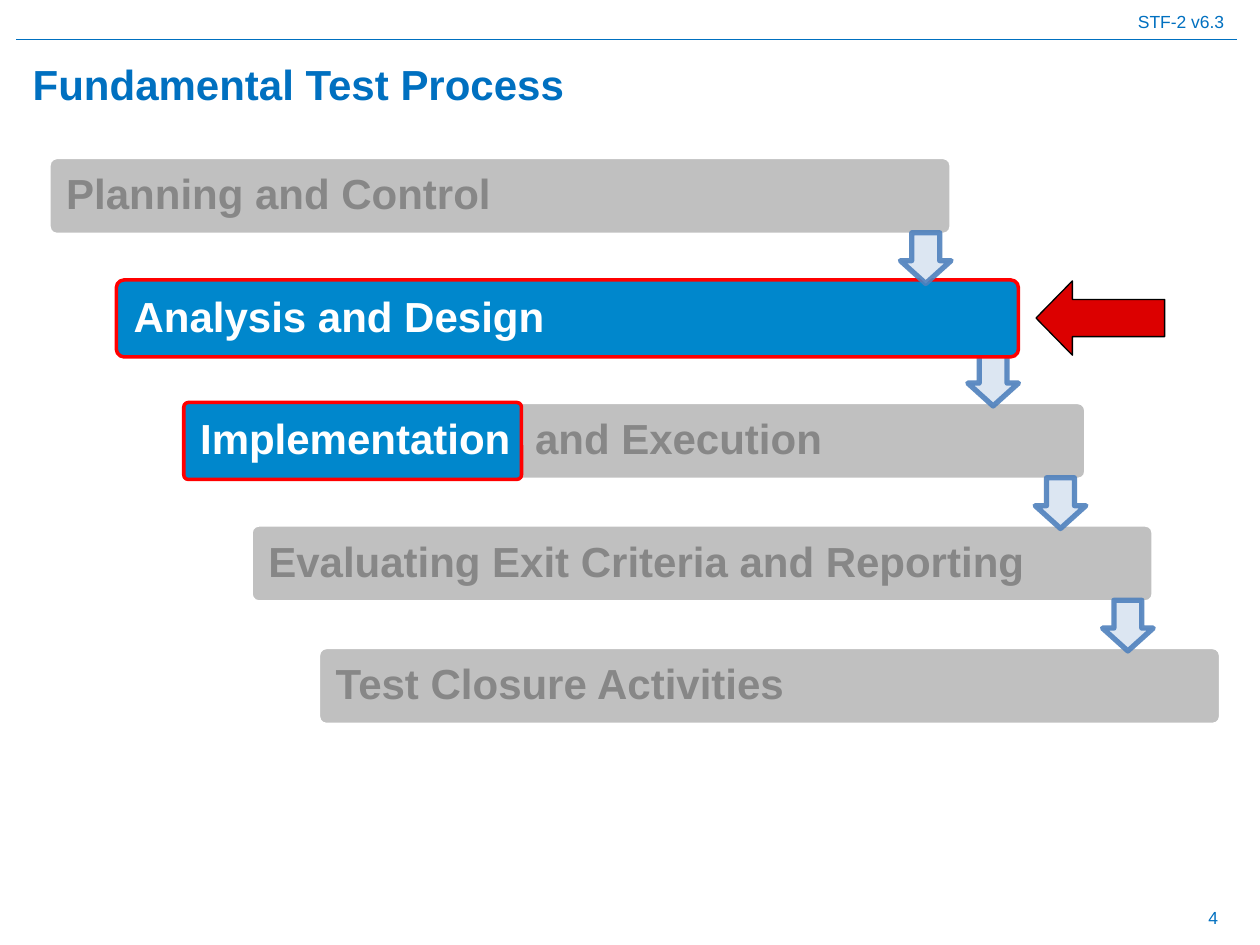
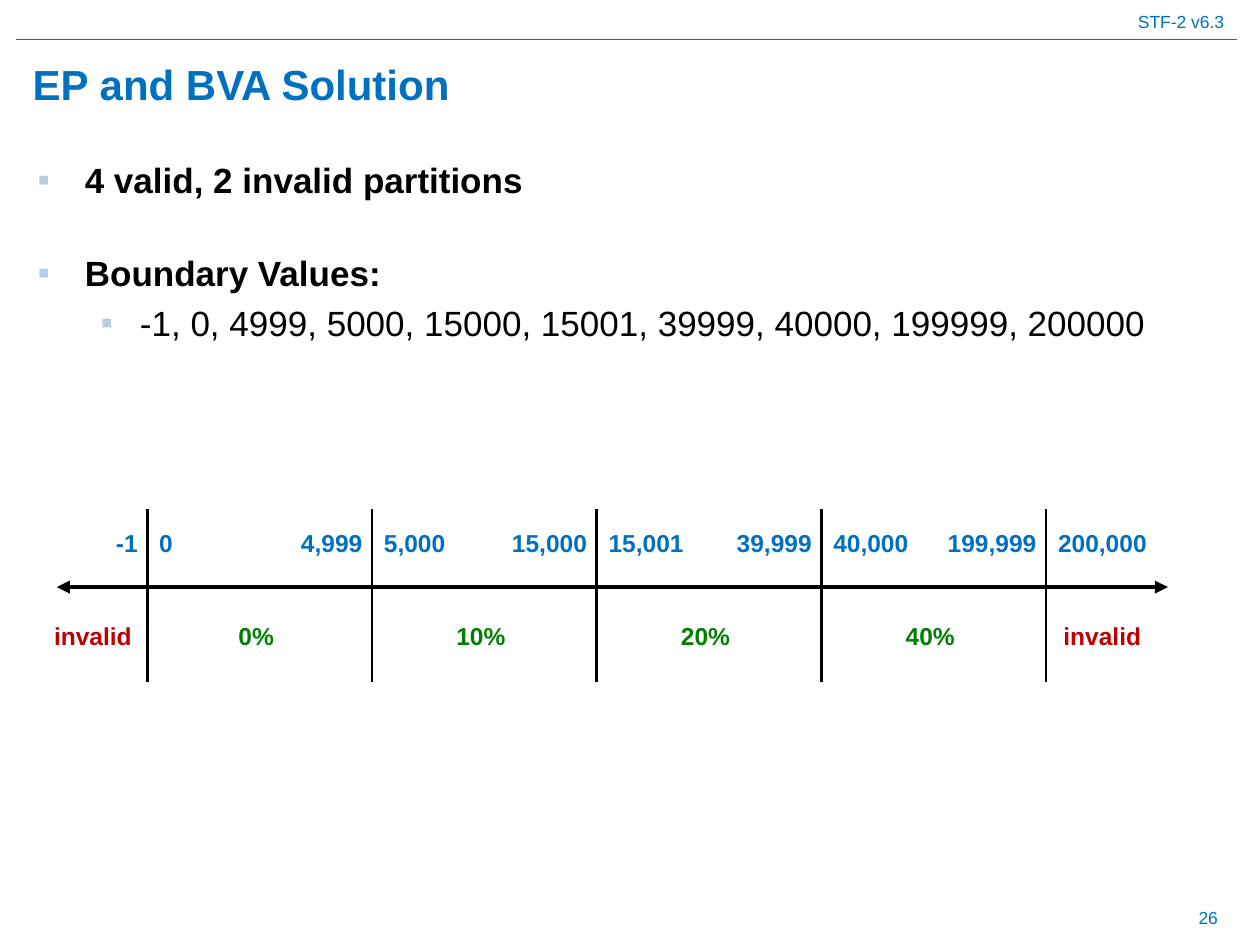
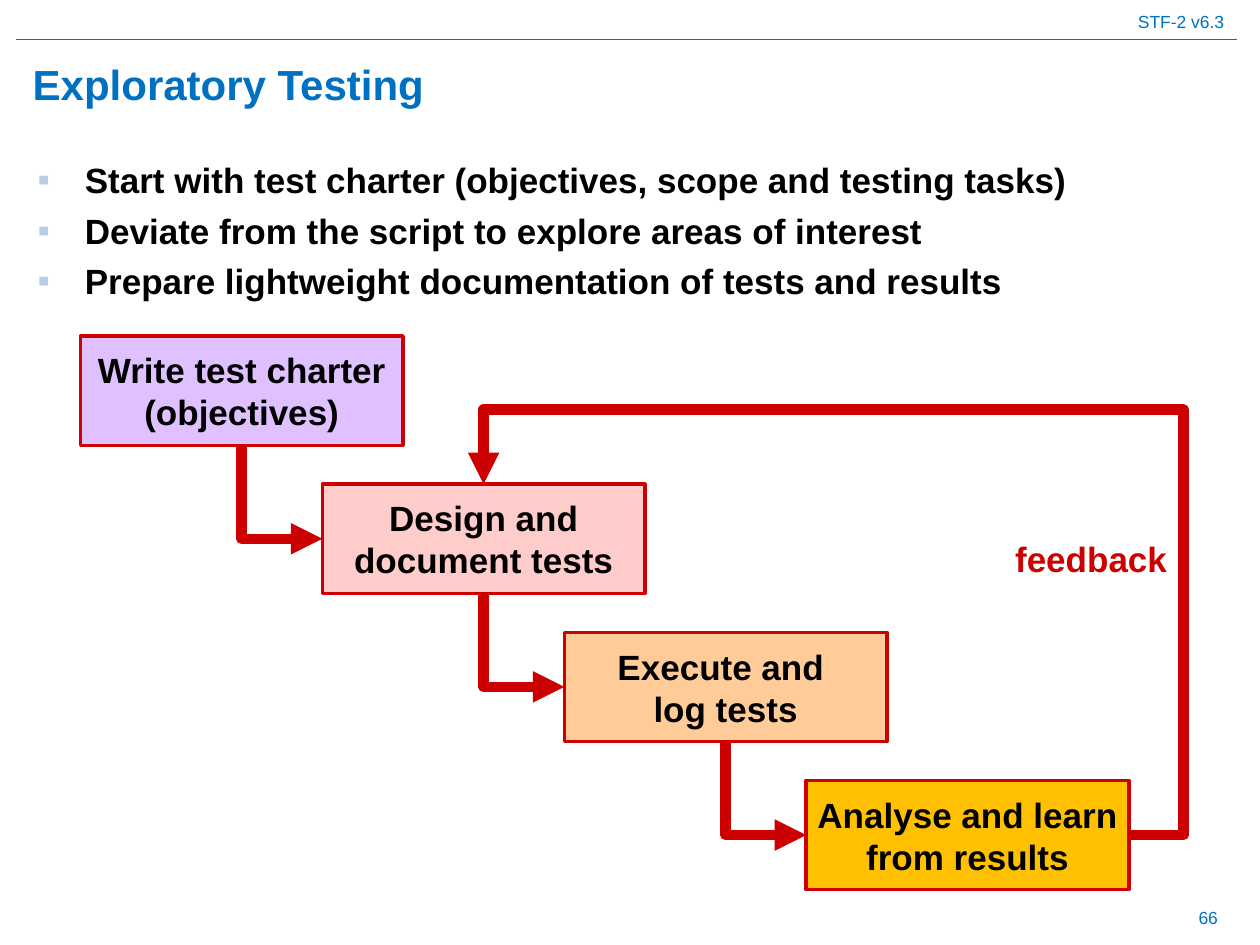
from lxml import etree
from pptx import Presentation
from pptx.dml.color import RGBColor
from pptx.enum.shapes import MSO_CONNECTOR, MSO_SHAPE
from pptx.enum.text import MSO_ANCHOR, PP_ALIGN
from pptx.oxml.ns import qn
from pptx.util import Pt

LEFT, CENTER, RIGHT = PP_ALIGN.LEFT, PP_ALIGN.CENTER, PP_ALIGN.RIGHT
TOP, MIDDLE = MSO_ANCHOR.TOP, MSO_ANCHOR.MIDDLE
STRAIGHT, ELBOW = MSO_CONNECTOR.STRAIGHT, MSO_CONNECTOR.ELBOW
SITE_TOP, SITE_LEFT, SITE_BOTTOM, SITE_RIGHT = range(4)

FONT = "Arial"
COLORS = {
    "brand": "0070C0", "text": "000000", "white": "FFFFFF", "bullet": "B8CCE4",
    "step": "C0C0C0", "step_text": "878787", "current": "0087CC", "current_line": "FF0000",
    "arrow": "DCE6F2", "arrow_line": "4F81BD", "pointer": "DC0000",
    "invalid": "C00000", "valid": "008000", "flow": "CC0000",
    "charter": "E0C1FF", "design": "FFCCCC", "execute": "FFCC99", "analyse": "FFC000",
}
HEADER = "STF-2 v6.3"

STEPS = ["Planning and Control", "Analysis and Design", "and Execution",
         "Evaluating Exit Criteria and Reporting", "Test Closure Activities"]
CURRENT_STEP = 1
PART_STEP, PART_TEXT, PART_WIDTH = 2, "Implementation", 193

# Bullets: level, text, space before
SOLUTION_BULLETS = [
    (0, "4 valid, 2 invalid partitions", 0),
    (0, "Boundary Values:", 29),
    (1, "-1, 0, 4999, 5000, 15000, 15001, 39999, 40000, 199999, 200000", 5),
]
BOUNDARIES = [("-1", "0"), ("4,999", "5,000"), ("15,000", "15,001"),
              ("39,999", "40,000"), ("199,999", "200,000")]
PARTITIONS = ["invalid", "0%", "10%", "20%", "40%", "invalid"]

EXPLORATORY_BULLETS = [
    (0, "Start with test charter (objectives, scope and testing tasks)", 0),
    (0, "Deviate from the script to explore areas of interest", 5),
    (0, "Prepare lightweight documentation of tests and results", 5),
]
ACTIVITIES = [("Write test charter (objectives)", "charter"),
              ("Design and document tests", "design"),
              ("Execute and \vlog tests", "execute"),
              ("Analyse and learn from results", "analyse")]


def rgb(name):
    return RGBColor.from_string(COLORS[name])


def format_text(shape, size, color, bold=False, align=LEFT, anchor=TOP,
                margins=(7.2, 3.6, 7.2, 3.6)):
    frame = shape.text_frame
    frame.word_wrap = True
    frame.vertical_anchor = anchor
    frame.margin_left, frame.margin_top, frame.margin_right, frame.margin_bottom = map(Pt, margins)
    for paragraph in frame.paragraphs:
        paragraph.alignment = align
        for run in paragraph.runs:
            run.font.name, run.font.size, run.font.bold = FONT, Pt(size), bold
            run.font.color.rgb = rgb(color)


def add_text(slide, box, text, size, color, **style):
    shape = slide.shapes.add_textbox(*map(Pt, box))
    shape.text_frame.text = text
    format_text(shape, size, color, **style)


def add_box(slide, preset, box, fill, line, line_width, adjustments=()):
    shape = slide.shapes.add_shape(preset, *map(Pt, box))
    shape.shadow.inherit = False
    shape.fill.solid()
    shape.fill.fore_color.rgb = rgb(fill)
    shape.line.color.rgb = rgb(line)
    shape.line.width = Pt(line_width)
    for index, value in enumerate(adjustments):
        shape.adjustments[index] = value
    return shape


def add_line(slide, start, end, color, width, kind=STRAIGHT, arrows=()):
    """arrows holds "headEnd" and "tailEnd", in that order, for the start and the end."""
    line = slide.shapes.add_connector(kind, *map(Pt, (*start, *end)))
    line.line.color.rgb = rgb(color)
    line.line.width = Pt(width)
    for arrow in arrows:
        etree.SubElement(line.line._get_or_add_ln(), qn("a:" + arrow), type="triangle")
    etree.SubElement(line._element.spPr, qn("a:effectLst"))
    return line


def add_bullets(slide, bullets):
    shape = slide.shapes.add_textbox(Pt(14.4), Pt(87), Pt(695), Pt(423))
    shape.text_frame.text = "\n".join(text for _, text, _ in bullets)
    format_text(shape, 20, "text", bold=True)
    for paragraph, (level, _, space) in zip(shape.text_frame.paragraphs, bullets):
        indent, hanging = [(27, 27), (58.5, 22.5)][level]
        properties = paragraph._p.get_or_add_pPr()
        properties.set("marL", str(Pt(indent)))
        properties.set("indent", str(-Pt(hanging)))
        bullet_color = etree.SubElement(properties, qn("a:buClr"))
        etree.SubElement(bullet_color, qn("a:srgbClr"), val=COLORS["bullet"])
        etree.SubElement(properties, qn("a:buFont"), typeface=FONT)
        etree.SubElement(properties, qn("a:buChar"), char="▪")
        paragraph.level = level
        paragraph.space_before = Pt(space)
        paragraph.runs[0].font.bold = level == 0


def add_slide(presentation, title, number):
    slide = presentation.slides.add_slide(presentation.slide_layouts[5])
    add_text(slide, (0, 3, 720, 19.5), HEADER, 10, "brand", align=RIGHT,
             margins=(7.2, 3.6, 20.5, 3.6))
    add_line(slide, (9.4, 22.5), (707, 22.5), "brand", 0.75)
    add_text(slide, (535, 510.5, 168, 28), str(number), 10, "brand", align=RIGHT, anchor=MIDDLE)
    heading = slide.shapes.title
    heading.left, heading.top, heading.width, heading.height = map(Pt, (11.5, 28, 692, 40))
    heading.text_frame.text = title
    format_text(heading, 24, "brand", bold=True, anchor=MIDDLE)
    return slide


def build_process(presentation):
    slide = add_slide(presentation, "Fundamental Test Process", 4)
    width, height, arrow_size = 515.5, 44, 29

    def place(index):
        return 28 + 38.5 * index, 90 + 70 * index

    def add_step(index, text, step_width, current, left_margin=8.6, right_margin=8.6, corner=0.1):
        fill, line, color = (("current", "current_line", "white") if current
                             else ("step", "white", "step_text"))
        shape = add_box(slide, MSO_SHAPE.ROUNDED_RECTANGLE, (*place(index), step_width, height),
                        fill, line, 2, [corner])
        shape.text_frame.text = text
        format_text(shape, 24, color, bold=True, anchor=MIDDLE,
                    margins=(left_margin, 8.6, right_margin, 8.6))
        shape.text_frame.paragraphs[0].line_spacing = 0.9

    def add_arrow(index):
        left, top = place(index)
        arrow = add_box(slide, MSO_SHAPE.DOWN_ARROW,
                        (left + width - arrow_size, top + height - 1, arrow_size, arrow_size),
                        "arrow", "arrow_line", 3, [0.55, 0.45])
        line_color = arrow.line._get_or_add_ln().find(".//" + qn("a:srgbClr"))
        etree.SubElement(line_color, qn("a:alpha"), val="90000")

    # The current step covers the arrow that leaves it; other arrows lie on top
    for index in reversed(range(len(STEPS))):
        current = index == CURRENT_STEP
        if current:
            add_arrow(index)
        add_step(index, STEPS[index], width, current,
                 left_margin=199.5 if index == PART_STEP else 8.6)
        if not current and index < len(STEPS) - 1:
            add_arrow(index)
    add_step(PART_STEP, PART_TEXT, PART_WIDTH, True, right_margin=0, corner=0.06)
    add_box(slide, MSO_SHAPE.LEFT_ARROW, (592, 160.5, 73.5, 42.5),
            "pointer", "text", 0.75, [0.5, 0.49])


def build_solution(presentation):
    slide = add_slide(presentation, "EP and BVA Solution", 26)
    add_bullets(slide, SOLUTION_BULLETS)
    add_line(slide, (32.4, 335.5), (667.4, 335.5), "text", 2.5, arrows=("headEnd", "tailEnd"))

    positions = [84.2 + 128.4 * index for index in range(len(BOUNDARIES))]
    value_width = 64
    for x, (below, above) in zip(positions, BOUNDARIES):
        add_line(slide, (x, 291), (x, 390), "text", 1.5)
        add_text(slide, (x - value_width, 298, value_width, 24), below, 14, "brand",
                 bold=True, align=RIGHT, margins=(0, 3.6, 5.5, 3.6))
        add_text(slide, (x, 298, value_width, 24), above, 14, "brand",
                 bold=True, margins=(6.8, 3.6, 0, 3.6))

    edges = [26, *positions, 666]
    for left, right, label in zip(edges, edges[1:], PARTITIONS):
        color = "invalid" if label == "invalid" else "valid"
        add_text(slide, (left - 2, 351.5, right - left, 24), label, 14, color,
                 bold=True, align=CENTER, margins=(0, 3.6, 0, 3.6))


def build_exploratory(presentation):
    slide = add_slide(presentation, "Exploratory Testing", 66)
    add_bullets(slide, EXPLORATORY_BULLETS)
    width, height, step_x, step_y = 184.3, 62.5, 138.25, 84.65

    boxes = []
    for index, (text, fill) in enumerate(ACTIVITIES):
        box = add_box(slide, MSO_SHAPE.RECTANGLE,
                      (46 + step_x * index, 192 + step_y * index, width, height), fill, "flow", 2)
        box.text_frame.text = text
        format_text(box, 20, "text", bold=True, align=CENTER, anchor=MIDDLE,
                    margins=(4, 3.6, 4, 3.6))
        boxes.append(box)

    def connect(source, source_site, target, target_site, preset):
        connector = add_line(slide, (0, 0), (0, 0), "flow", 6, ELBOW, ("tailEnd",))
        connector.begin_connect(source, source_site)
        connector.end_connect(target, target_site)
        connector._element.spPr.find(qn("a:prstGeom")).set("prst", preset)
        return connector

    for source, target in zip(boxes, boxes[1:]):
        connector = connect(source, SITE_BOTTOM, target, SITE_LEFT, "bentConnector2")
        across, down = connector.width, connector.height
        # Turned a quarter and mirrored, so that it goes down first and then right
        connector.left += (across - down) // 2
        connector.top += (down - across) // 2
        connector.width, connector.height = down, across
        transform = connector._element.spPr.find(qn("a:xfrm"))
        transform.set("rot", "16200000")
        transform.set("flipH", "1")

    feedback = connect(boxes[3], SITE_RIGHT, boxes[1], SITE_TOP, "bentConnector4")
    guides = feedback._element.spPr.find(qn("a:prstGeom")).find(qn("a:avLst"))
    for name, value in (("adj1", -8500), ("adj2", 121200)):
        etree.SubElement(guides, qn("a:gd"), name=name, fmla=f"val {value}")
    add_text(slide, (569, 303.5, 109, 36), "feedback", 20, "flow", bold=True, align=CENTER)


def main():
    presentation = Presentation()
    presentation.slide_width, presentation.slide_height = Pt(720), Pt(540)
    build_process(presentation)
    build_solution(presentation)
    build_exploratory(presentation)
    presentation.save("out.pptx")


if __name__ == "__main__":
    main()
